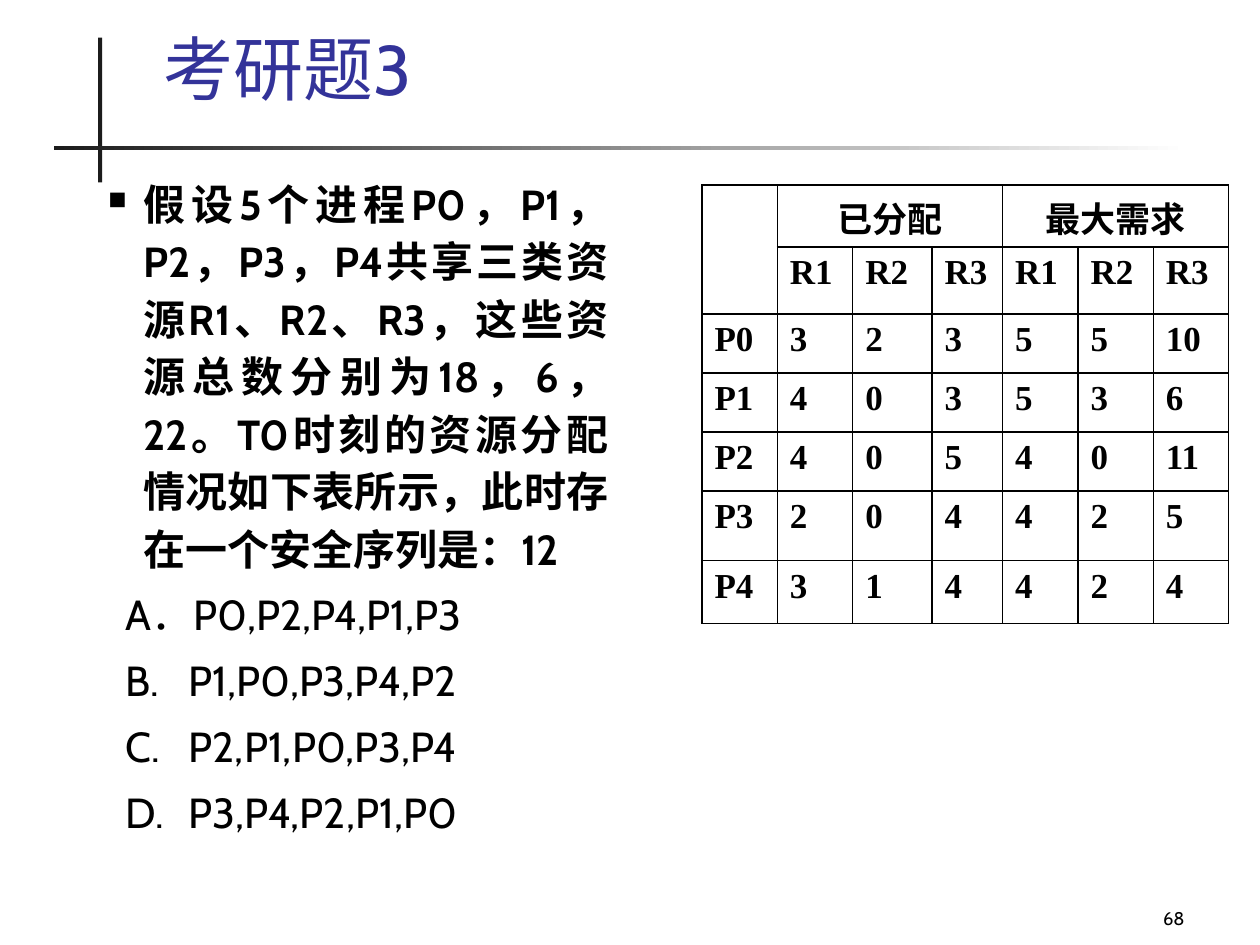
from lxml import etree
from pptx import Presentation
from pptx import util as u
from pptx.dml.color import RGBColor
from pptx.enum import shapes, text
from pptx.oxml import ns

BLACK = RGBColor(0x00, 0x00, 0x00)
WHITE = RGBColor(0xFF, 0xFF, 0xFF)
DARK = RGBColor(0x1C, 0x1C, 0x1C)
INDIGO = RGBColor(0x33, 0x33, 0x99)
SANS, SERIF = "Cabin", "Times New Roman"
LEFT, CENTER = text.PP_ALIGN.LEFT, text.PP_ALIGN.CENTER

QUESTION = ("假设5个进程P0，P1，P2，P3，P4共享三类资源R1、R2、R3，"
            "这些资源总数分别为18，6，22。T0时刻的资源分配情况如下表所示，"
            "此时存在一个安全序列是：12")
OPTIONS = ["A．P0,P2,P4,P1,P3", "B.\tP1,P0,P3,P4,P2",
           "C.\tP2,P1,P0,P3,P4", "D.\tP3,P4,P2,P1,P0"]
COLS = [1.52, 1.52, 1.6, 1.42, 1.52, 1.52, 1.52]
ROWS = [1.25, 1.35, 1.19, 1.19, 1.19, 1.4, 1.27]
GROUPS = {1: "已分配", 4: "最大需求"}
DATA = [["", "R1", "R2", "R3", "R1", "R2", "R3"],
        ["P0", 3, 2, 3, 5, 5, 10],
        ["P1", 4, 0, 3, 5, 3, 6],
        ["P2", 4, 0, 5, 4, 0, 11],
        ["P3", 2, 0, 4, 4, 2, 5],
        ["P4", 3, 1, 4, 4, 2, 4]]


def sub(parent, tag, **attrs):
    return etree.SubElement(parent, ns.qn(tag), attrs)


class Deck:
    def __init__(self, width, height):
        self.prs = Presentation()
        self.prs.slide_width, self.prs.slide_height = u.Cm(width), u.Cm(height)
        self.s = self.prs.slides.add_slide(self.prs.slide_layouts[5])
        self.line_width = u.Pt(1)

    def style(self, p, size, font=SANS, color=BLACK, bold=False, **layout):
        for name, value in layout.items():
            setattr(p, name, value)
        values = {"size": u.Pt(size), "name": font, "bold": bold}
        for name, value in values.items():
            setattr(p.font, name, value)
        p.font.color.rgb = color

    def title(self, words, *box):
        sp = self.s.shapes.title
        sp.left, sp.top, sp.width, sp.height = map(u.Cm, box)
        tf = sp.text_frame
        tf.auto_size = text.MSO_AUTO_SIZE.NONE
        tf.vertical_anchor = text.MSO_ANCHOR.BOTTOM
        tf.text = words
        self.style(tf.paragraphs[0], 40, color=INDIGO, alignment=LEFT)

    def bar(self, *box, fade=None):
        sp = self.s.shapes.add_shape(shapes.MSO_SHAPE.RECTANGLE, *map(u.Cm, box))
        sp.shadow.inherit = False
        sp.line.fill.background()
        if fade is None:
            sp.fill.solid()
            sp.fill.fore_color.rgb = DARK
        else:
            sp.fill.gradient()
            sp.fill.gradient_angle = 0
            for stop, color in zip(sp.fill.gradient_stops, (DARK, fade)):
                stop.color.rgb = color

    def textbox(self, *box, anchor=text.MSO_ANCHOR.TOP):
        tf = self.s.shapes.add_textbox(*map(u.Cm, box)).text_frame
        tf.word_wrap = True
        tf.vertical_anchor = anchor
        return tf

    def indent(self, p, margin, hanging=0, bullet=None, tab=None):
        pPr = p._p.get_or_add_pPr()
        pPr.set("marL", str(u.Cm(margin)))
        pPr.set("indent", str(-u.Cm(hanging)))
        if bullet:
            sub(sub(pPr, "a:buClr"), "a:srgbClr", val=str(BLACK))
            sub(pPr, "a:buSzPct", val="60000")
            sub(pPr, "a:buChar", char=bullet)
        if tab:
            sub(sub(pPr, "a:tabLst"), "a:tab", pos=str(u.Cm(tab)), algn="l")

    def question(self, words, options, *box):
        tf = self.textbox(*box)
        p = tf.paragraphs[0]
        p.text = words
        self.indent(p, 0.71, 0.71, bullet="■")
        self.style(p, 24, bold=True, line_spacing=1.14,
                   alignment=text.PP_ALIGN.JUSTIFY)
        for option in options:
            p = tf.add_paragraph()
            p.text = option
            self.indent(p, 0.36, tab=1.47)
            self.style(p, 24, line_spacing=1.14, space_before=u.Pt(4.8))

    def borders(self, cell):
        tcPr = cell._tc.get_or_add_tcPr()
        for i, side in enumerate("LRTB"):
            ln = sub(tcPr, f"a:ln{side}", w=str(self.line_width))
            sub(sub(ln, "a:solidFill"), "a:srgbClr", val=str(BLACK))
            tcPr.insert(i, ln)

    def cell(self, cell, value, alignment):
        p = cell.text_frame.paragraphs[0]
        p.text = str(value)
        self.style(p, 20, SERIF, bold=True, alignment=alignment)

    def table(self, left, top):
        box = map(u.Cm, (left, top, sum(COLS), sum(ROWS)))
        table = self.s.shapes.add_table(len(ROWS), len(COLS), *box).table
        table.first_row = table.horz_banding = False
        for col, width in zip(table.columns, COLS):
            col.width = u.Cm(width)
        for row, height in zip(table.rows, ROWS):
            row.height = u.Cm(height)
        for cell in table.iter_cells():
            cell.fill.background()
            self.borders(cell)
        table.cell(0, 0).merge(table.cell(1, 0))
        for c, name in GROUPS.items():
            table.cell(0, c).merge(table.cell(0, c + 2))
            self.cell(table.cell(0, c), name, CENTER)
        for r, values in enumerate(DATA, 1):
            for c, value in enumerate(values):
                if value != "":
                    self.cell(table.cell(r, c), value, LEFT)

    def page_number(self, number, *box):
        p = self.textbox(*box, anchor=text.MSO_ANCHOR.BOTTOM).paragraphs[0]
        p.text = str(number)
        self.style(p, 10.5, alignment=text.PP_ALIGN.RIGHT)


def main():
    deck = Deck(25.4, 19.05)
    deck.bar(1.98, 0.76, 0.08, 2.92)
    deck.bar(1.09, 2.95, 22.86, 0.08, fade=WHITE)
    deck.title("考研题3", 3.05, 0.43, 21.64, 1.9)
    deck.question(QUESTION, OPTIONS, 1.93, 3.33, 10.59, 13.61)
    deck.table(14.15, 3.73)
    deck.page_number(68, 18.85, 17.58, 5.28, 1.27)
    deck.prs.save("out.pptx")


if __name__ == "__main__":
    main()
